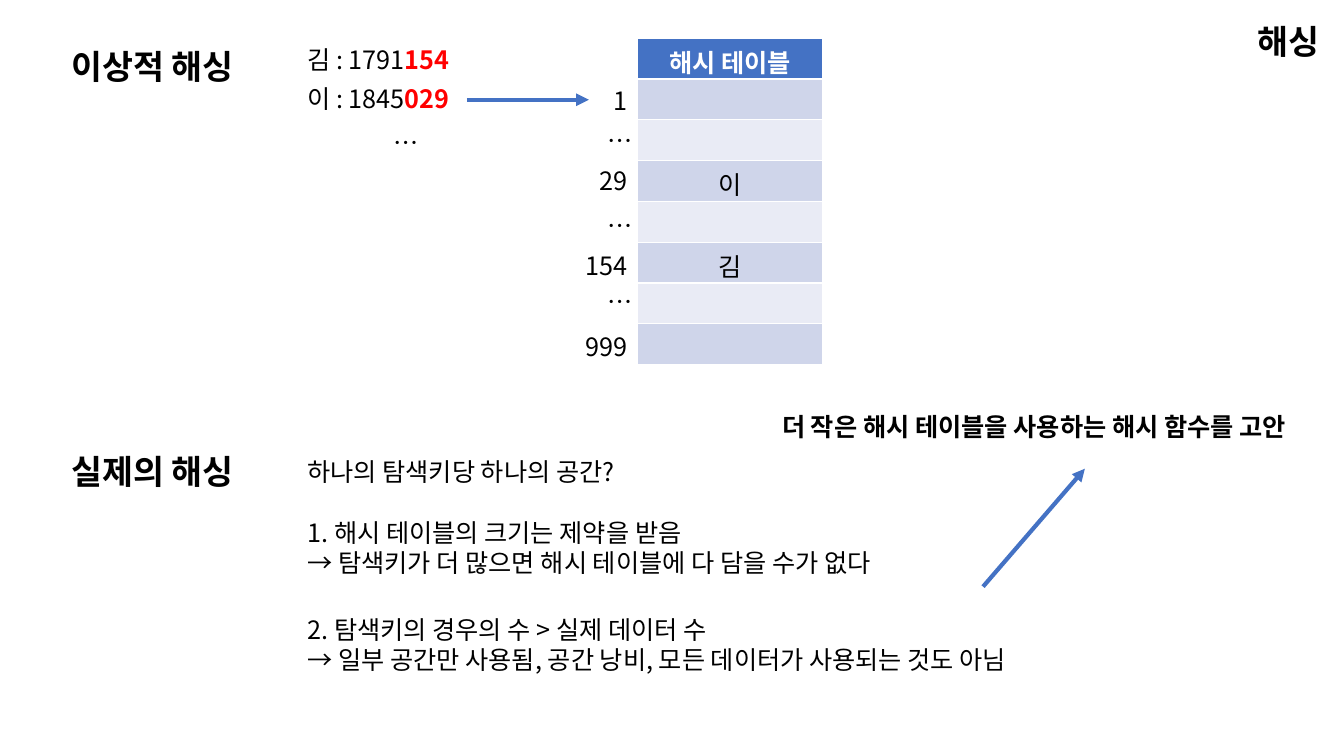
from dataclasses import dataclass

from lxml.etree import SubElement
from pptx import Presentation
from pptx.dml.color import RGBColor
from pptx.enum.shapes import MSO_CONNECTOR
from pptx.enum.text import MSO_ANCHOR, MSO_AUTO_SIZE as AutoSize, PP_ALIGN as Align
from pptx.oxml.ns import qn
from pptx.util import Pt

PX = 9144  # 100 px to the inch


@dataclass(frozen=True)
class Theme:
    font: str = "Noto Sans CJK KR"
    heading: int = 24
    body: int = 18
    line: int = 3
    ink: str = "000000"
    paper: str = "FFFFFF"
    key: str = "FF0000"
    accent: str = "4472C4"
    bands: tuple = ("E9EBF5", "CFD5EA")


THEME = Theme()

TITLE = ("해싱", (1135, 16, 184, 50))
HEADINGS = [
    ("이상적 해싱", (61, 41, 200, 50)),
    ("실제의 해싱", (61, 442, 200, 50)),
]
RECORDS = [  # leading part, hashed digits, top
    ("김 : 1791", "154", 39),
    ("이 : 1845", "029", 78),
]
MORE_RECORDS = ("…", (344, 121, 117, 40))
QUESTION = ("하나의 탐색키당 하나의 공간?", (295, 448, 371, 40))
CONCLUSION = ("더 작은 해시 테이블을 사용하는 해시 함수를 고안", (732, 403, 587, 40))
REASONS = [
    (["1. 해시 테이블의 크기는 제약을 받음",
      "→ 탐색키가 더 많으면 해시 테이블에 다 담을 수가 없다"],
     (295, 508, 660, 71)),
    (["2. 탐색키의 경우의 수 > 실제 데이터 수",
      "→ 일부 공간만 사용됨, 공간 낭비, 모든 데이터가 사용되는 것도 아님"],
     (295, 604, 808, 71)),
]
HASH_TABLE = ["해시 테이블", "", "", "이", "", "김", "", ""]
TABLE_BOX = (632, 38, 184, 324)
SLOTS = [("1", 80), ("…", 119), ("29", 159), ("…", 204),
         ("154", 243), ("…", 279), ("999", 324)]
ARROWS = [(463, 99, 584, 99), (975, 582, 1076, 465)]


def emu(lengths):
    return [length * PX for length in lengths]


def add_run(paragraph, text, size=THEME.body, color=THEME.ink, bold=False):
    run = paragraph.add_run()
    run.text = text
    font = run.font
    font.name, font.size, font.bold = THEME.font, Pt(size), bold
    font.color.rgb = RGBColor.from_string(color)
    SubElement(font._element, qn("a:ea"), typeface=THEME.font)


def add_text(slide, box, *runs, align=Align.LEFT, wrap=True):
    """Each run is a (text, style dict) pair."""
    frame = slide.shapes.add_textbox(*emu(box)).text_frame
    frame.word_wrap = wrap
    frame.auto_size = AutoSize.SHAPE_TO_FIT_TEXT
    paragraph = frame.paragraphs[0]
    paragraph.alignment = align
    for text, style in runs:
        add_run(paragraph, text, **style)


def fill_placeholder(placeholder, box, lines, align=Align.LEFT, **style):
    (placeholder.left, placeholder.top,
     placeholder.width, placeholder.height) = emu(box)
    frame = placeholder.text_frame
    frame.word_wrap = True
    frame.auto_size = AutoSize.SHAPE_TO_FIT_TEXT
    frame.vertical_anchor = MSO_ANCHOR.TOP
    for index, line in enumerate(lines):
        paragraph = frame.add_paragraph() if index else frame.paragraphs[0]
        paragraph.alignment = align
        paragraph.space_before = Pt(0)
        paragraph.line_spacing = 1.0
        properties = paragraph._p.get_or_add_pPr()
        properties.set("marL", "0")
        properties.set("indent", "0")
        SubElement(properties, qn("a:buNone"))
        add_run(paragraph, line, **style)


def add_arrow(slide, ends):
    arrow = slide.shapes.add_connector(MSO_CONNECTOR.STRAIGHT, *emu(ends))
    arrow.line.width = Pt(THEME.line)
    arrow.line.color.rgb = RGBColor.from_string(THEME.accent)
    SubElement(arrow.line._get_or_add_ln(), qn("a:tailEnd"), type="triangle")
    SubElement(arrow._element.spPr, qn("a:effectLst"))


def add_hash_table(slide):
    table = slide.shapes.add_table(len(HASH_TABLE), 1, *emu(TABLE_BOX)).table
    for index, entry in enumerate(HASH_TABLE):
        header = index == 0
        cell = table.cell(index, 0)
        cell.fill.solid()
        cell.fill.fore_color.rgb = RGBColor.from_string(
            THEME.accent if header else THEME.bands[index % 2])
        if entry:
            paragraph = cell.text_frame.paragraphs[0]
            paragraph.alignment = Align.CENTER
            add_run(paragraph, entry, bold=header,
                    color=THEME.paper if header else THEME.ink)


def add_slot_labels(slide):
    for label, top in SLOTS:
        width = 39 if label == "…" else 20 + 14 * len(label)
        add_text(slide, (TABLE_BOX[0] - width, top, width, 40), (label, {}),
                 align=Align.RIGHT, wrap=False)


def main():
    deck = Presentation()
    deck.slide_width, deck.slide_height = emu((1333, 750))
    two_content = deck.slide_layouts[3]
    slide = deck.slides.add_slide(two_content)
    title, *bodies = slide.placeholders
    heading = {"size": THEME.heading, "bold": True}

    text, box = TITLE
    fill_placeholder(title, box, [text], Align.RIGHT, **heading)
    for text, box in HEADINGS:
        add_text(slide, box, (text, heading), wrap=False)
    for name, digits, top in RECORDS:
        add_text(slide, (295, top, 168, 40), (name, {}),
                 (digits, {"color": THEME.key, "bold": True}), wrap=False)
    text, box = MORE_RECORDS
    add_text(slide, box, (text, {}), align=Align.CENTER)
    add_hash_table(slide)
    add_slot_labels(slide)
    text, box = QUESTION
    add_text(slide, box, (text, {}))
    for body, (lines, box) in zip(bodies, REASONS):
        fill_placeholder(body, box, lines)
    text, box = CONCLUSION
    add_text(slide, box, (text, {"bold": True}), align=Align.CENTER)
    for ends in ARROWS:
        add_arrow(slide, ends)
    deck.save("out.pptx")


if __name__ == "__main__":
    main()
